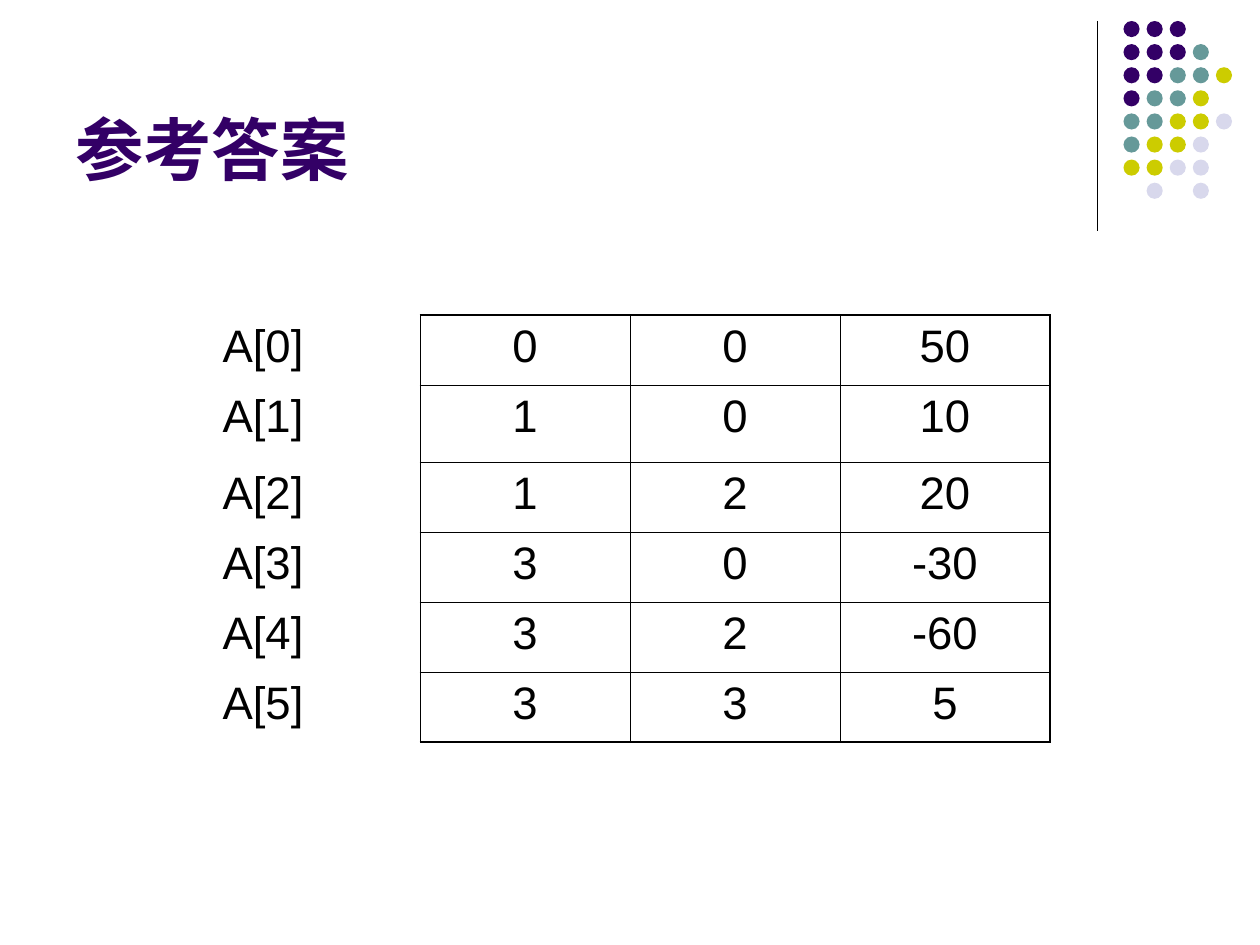
from lxml.etree import SubElement
from pptx import Presentation
from pptx.dml.color import RGBColor
from pptx.enum.shapes import MSO_CONNECTOR, MSO_SHAPE
from pptx.enum.text import MSO_ANCHOR, PP_ALIGN
from pptx.oxml import parse_xml
from pptx.oxml.ns import nsdecls, qn
from pptx.util import Pt


def paint(color, value):
    color.rgb = RGBColor.from_string(value)


def style(para, size, value, bold=False):
    look = {"name": "Arial", "size": Pt(size), "bold": bold}
    for key, item in look.items():
        setattr(para.font, key, item)
    paint(para.font.color, value)


deck = Presentation()
deck.slide_width, deck.slide_height = Pt(720), Pt(540)
slide = deck.slides.add_slide(deck.slide_layouts[6])
shapes = slide.shapes

# Rule beside the dots
rule = shapes.add_connector(MSO_CONNECTOR.STRAIGHT, Pt(627), Pt(12), Pt(627), Pt(132))
rule.line.width = Pt(0.75)
paint(rule.line.color, "000000")
SubElement(rule._element.spPr, qn("a:effectLst"))

# Dot pattern, one letter for each colour
hues = {"P": "330066", "T": "669999", "Y": "CCCC00", "L": "D8D8EC"}
dots = ["PPP", "PPPT", "PPTTY", "PTTY", "TTYYL", "TYYL", "YYLL", " L L"]
for row, marks in enumerate(dots):
    for col, mark in enumerate(marks):
        if mark in hues:
            dot = shapes.add_shape(MSO_SHAPE.OVAL, Pt(642 + 13.2 * col),
                                   Pt(12 + 13.2 * row), Pt(9.2), Pt(9.2))
            dot.shadow.inherit = False
            dot.fill.solid()
            paint(dot.fill.fore_color, hues[mark])
            dot.line.fill.background()

# Title
title = shapes.add_textbox(Pt(36), Pt(9.5), Pt(594), Pt(102)).text_frame
title.word_wrap = True
title.vertical_anchor = MSO_ANCHOR.BOTTOM
title.text = "参考答案"
style(title.paragraphs[0], 39, "330066", bold=True)

# Table of array entries
data = [(0, 0, 50), (1, 0, 10), (1, 2, 20), (3, 0, -30), (3, 2, -60), (3, 3, 5)]
last = len(data) - 1
table = shapes.add_table(6, 4, Pt(120), Pt(180), Pt(480), Pt(244)).table
table.first_row = table.horz_banding = False
for col in table.columns:
    col.width = Pt(120)
for r, nums in enumerate(data):
    table.rows[r].height = Pt(44 if r == 1 else 40)
    for c, text in enumerate((f"A[{r}]", *nums)):
        cell = table.cell(r, c)
        cell.text = str(text)
        para = cell.text_frame.paragraphs[0]
        para.alignment = PP_ALIGN.CENTER if c else PP_ALIGN.LEFT
        style(para, 26, "000000")
        thin, thick = 0.45, 1.08
        edges = {
            "L": thin if c else 0,
            "R": thick if c == 3 else thin,
            "T": (thin if r else thick) if c else 0,
            "B": (thick if r == last else thin) if c else 0,
        }
        props = cell._tc.get_or_add_tcPr()
        for side, width in edges.items():
            ink = '<a:solidFill><a:srgbClr val="000000"/></a:solidFill>' if width else "<a:noFill/>"
            props.append(parse_xml(
                f'<a:ln{side} {nsdecls("a")} w="{Pt(width)}">{ink}</a:ln{side}>'))
        cell.fill.background()

deck.save("out.pptx")
